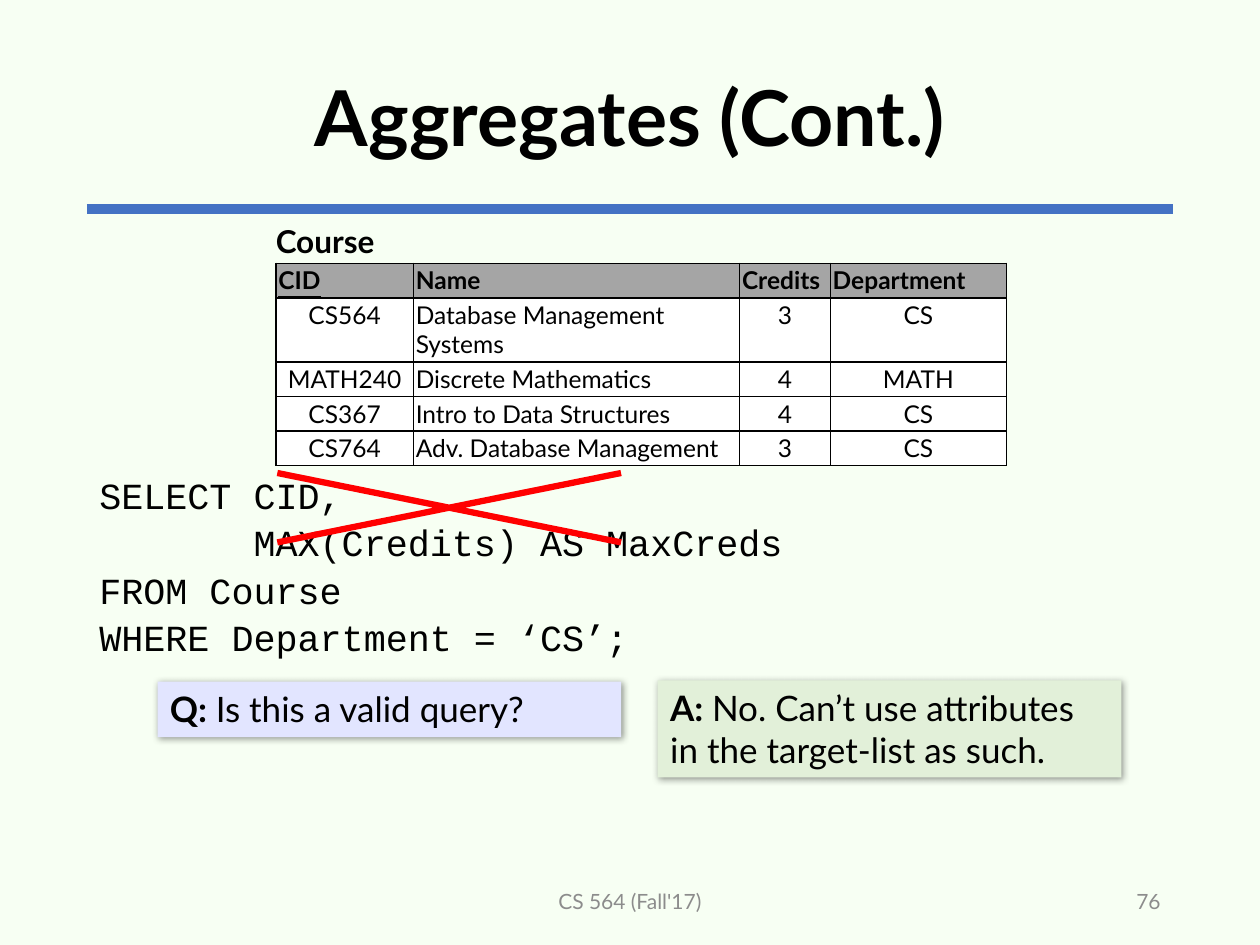
from lxml.etree import SubElement
from pptx import Presentation
from pptx.dml.color import RGBColor
from pptx.enum.shapes import MSO_CONNECTOR, MSO_SHAPE
from pptx.enum.text import MSO_ANCHOR, PP_ALIGN
from pptx.oxml import parse_xml
from pptx.oxml.ns import nsdecls, qn
from pptx.util import Inches, Pt

TITLE = "Aggregates (Cont.)"
COURSES = [
    ("CID", "Name", "Credits", "Department"),
    ("CS564", "Database Management Systems", "3", "CS"),
    ("MATH240", "Discrete Mathematics", "4", "MATH"),
    ("CS367", "Intro to Data Structures", "4", "CS"),
    ("CS764", "Adv. Database Management", "3", "CS"),
]
COLUMN_WIDTHS = [1.09, 2.59, 0.72, 1.4]
ROW_HEIGHTS = [0.27, 0.51, 0.27, 0.27, 0.27]
QUERY = [
    "SELECT CID,",
    "       MAX(Credits) AS MaxCreds",
    "FROM Course",
    "WHERE Department = ‘CS’;",
]
CALLOUTS = [
    ("Q: ", "Is this a valid query?", (1.25, 5.41, 3.68, 0.44), "E2E5FF"),
    ("A: ", "No. Can’t use attributes in the target-list as such.",
     (5.22, 5.4, 3.68, 0.77), "E2F0D9"),
]
FOOTERS = [
    ("CS 564 (Fall'17)", (3.31, 6.95, 3.38, 0.4), PP_ALIGN.CENTER),
    ("76", (7.06, 6.95, 2.25, 0.4), PP_ALIGN.RIGHT),
]


def rgb(color):
    return RGBColor.from_string(color)


def box(bounds):
    return [Inches(length) for length in bounds]


def paint(shape, color):
    shape.shadow.inherit = False
    shape.fill.solid()
    shape.fill.fore_color.rgb = rgb(color)
    shape.line.fill.background()


def write(frame, lines, size=14, font="Lato", color="000000", bold=False, underline=False,
          align=PP_ALIGN.LEFT, anchor=MSO_ANCHOR.TOP, spacing=1.0, lead="", wrap=True):
    frame.word_wrap = wrap
    frame.vertical_anchor = anchor
    for index, line in enumerate(lines):
        paragraph = frame.add_paragraph() if index else frame.paragraphs[0]
        paragraph.alignment = align
        paragraph.line_spacing = spacing
        for text, is_bold in ((lead, True), (line, bold)):
            if text:
                run = paragraph.add_run()
                run.text = text
                run.font.size = Pt(size)
                run.font.name = font
                run.font.bold = is_bold
                run.font.underline = underline
                run.font.color.rgb = rgb(color)


def add_text(slide, bounds, lines, **style):
    write(slide.shapes.add_textbox(*box(bounds)).text_frame, lines, **style)


def add_borders(cell):
    properties = cell._tc.get_or_add_tcPr()
    for index, side in enumerate(("lnL", "lnR", "lnT", "lnB")):
        properties.insert(index, parse_xml(
            f'<a:{side} {nsdecls("a")} w="12700"><a:solidFill><a:srgbClr val="000000"/>'
            f'</a:solidFill></a:{side}>'))


def add_title(slide):
    title = slide.shapes.title
    title.left, title.top, title.width, title.height = box((0.69, 0.24, 8.62, 1.45))
    write(title.text_frame, [TITLE], size=44, bold=True, align=PP_ALIGN.CENTER,
          anchor=MSO_ANCHOR.MIDDLE, spacing=0.9)
    rule = slide.shapes.add_connector(MSO_CONNECTOR.STRAIGHT, *box((0.69, 1.66, 9.31, 1.66)))
    rule.line.color.rgb = rgb("4472C4")
    rule.line.width = Pt(6)
    SubElement(rule._element.spPr, qn("a:effectLst"))


def add_course_table(slide):
    bounds = box((2.19, 2.09, sum(COLUMN_WIDTHS), sum(ROW_HEIGHTS)))
    table = slide.shapes.add_table(len(COURSES), len(COLUMN_WIDTHS), *bounds).table
    for column, width in zip(table.columns, COLUMN_WIDTHS):
        column.width = Inches(width)
    for row_index, values in enumerate(COURSES):
        table.rows[row_index].height = Inches(ROW_HEIGHTS[row_index])
        header = row_index == 0
        for column_index, value in enumerate(values):
            cell = table.cell(row_index, column_index)
            cell.margin_left = cell.margin_right = Inches(0.02)
            cell.margin_top = cell.margin_bottom = Inches(0.02)
            cell.fill.solid()
            cell.fill.fore_color.rgb = rgb("A5A5A5" if header else "FFFFFF")
            left = header or column_index == 1
            write(cell.text_frame, [value], bold=header, underline=value == "CID",
                  align=PP_ALIGN.LEFT if left else PP_ALIGN.CENTER)
            add_borders(cell)


def add_callout(slide, lead, text, bounds, color):
    shape = slide.shapes.add_shape(MSO_SHAPE.RECTANGLE, *box(bounds))
    paint(shape, color)
    effects = shape._element.spPr.find(qn("a:effectLst"))
    effects.append(parse_xml(
        f'<a:outerShdw {nsdecls("a")} blurRad="50800" dist="12700" dir="2700000">'
        '<a:srgbClr val="000000"><a:alpha val="40000"/></a:srgbClr></a:outerShdw>'))
    write(shape.text_frame, [text], size=20, lead=lead)


def main():
    """Build the aggregates slide and save it."""
    presentation = Presentation()
    presentation.slide_width, presentation.slide_height = Inches(10), Inches(7.5)
    slide = presentation.slides.add_slide(presentation.slide_layouts[5])
    slide.background.fill.solid()
    slide.background.fill.fore_color.rgb = rgb("F7FFF3")
    add_title(slide)
    for text, bounds, align in FOOTERS:
        add_text(slide, bounds, [text], size=12, color="8C8C8C", align=align,
                 anchor=MSO_ANCHOR.MIDDLE)
    add_text(slide, (0.69, 3.68, 6, 1.55), QUERY, size=21, font="Courier New", spacing=1.07)
    add_course_table(slide)
    add_text(slide, (2.09, 1.71, 1.01, 0.4), ["Course"], size=18, bold=True, wrap=False)
    for callout in CALLOUTS:
        add_callout(slide, *callout)
    cross = slide.shapes.add_shape(MSO_SHAPE.MATH_MULTIPLY, *box((0.94, 3.5, 5.25, 1.06)))
    cross.adjustments[0] = 0.047
    paint(cross, "FF0000")
    presentation.save("out.pptx")


if __name__ == "__main__":
    main()
